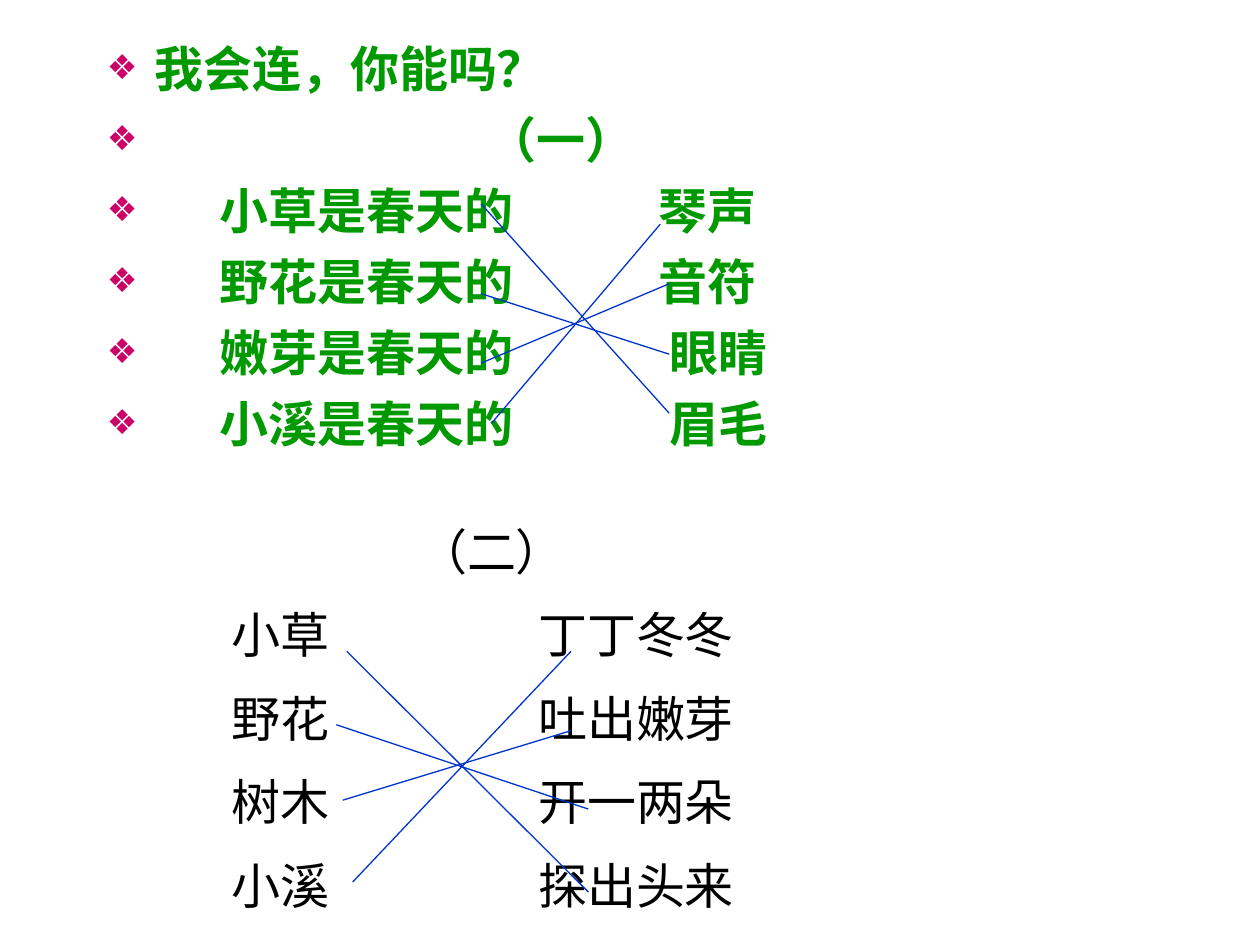
"""Build a matching exercise slide about the signs of spring."""
from lxml import etree
from pptx import Presentation
from pptx import util as u
from pptx.dml.color import RGBColor
from pptx.enum import shapes, text
from pptx.oxml.ns import qn

COLORS = {"phrase": "009900", "word": "000000", "bullet": "CC0066", "match": "0033CC"}

PHRASES = [
    (["我会连，你能吗？"], []),
    (["", "（一）"], [7.67]),
    (["", "小草是春天的", "琴声"], [2.28, 11.13]),
    (["", "野花是春天的", "音符"], [2.28, 11.13]),
    (["", "嫩芽是春天的", "眼睛"], [2.28, 11.35]),
    (["", "小溪是春天的", "眉毛"], [2.28, 11.35]),
]
WORDS = [
    (["", "（二）"], [5.08]),
    (["", "小草", "丁丁冬冬"], [1.32, 7.5]),
    (["", "野花", "吐出嫩芽"], [1.32, 7.5]),
    (["", "树木", "开一两朵"], [1.32, 7.5]),
    (["", "小溪", "探出头来"], [1.32, 7.5]),
]
PHRASE_MATCHES = [
    (9.7, 4.11, 13.49, 8.33),
    (9.91, 8.53, 13.31, 4.52),
    (9.7, 5.92, 13.49, 7.14),
    (9.7, 7.32, 13.49, 5.72),
]
WORD_MATCHES = [
    (6.99, 13.13, 11.86, 17.98),
    (6.78, 14.61, 11.86, 16.31),
    (6.91, 16.13, 11.51, 14.73),
    (7.11, 17.78, 11.51, 13.13),
]
PHRASE_FORMAT = {"name": "Arial", "size": u.Pt(28), "bold": True}
WORD_FORMAT = {"name": "Times New Roman", "size": u.Pt(28), "bold": False}
FRAME_FORMAT = {"word_wrap": True, "vertical_anchor": text.MSO_ANCHOR.TOP}
HANGING = u.Cm(0.96)


def apply(target, values):
    for attribute, value in values.items():
        setattr(target, attribute, value)


def add_bullet(properties):
    properties.set("marL", str(HANGING))
    properties.set("indent", str(-HANGING))
    color = etree.SubElement(properties, qn("a:buClr"))
    etree.SubElement(color, qn("a:srgbClr"), val=COLORS["bullet"])
    etree.SubElement(properties, qn("a:buSzPct"), val="70000")
    etree.SubElement(properties, qn("a:buChar"), char="❖")


def add_tabs(properties, stops):
    tabs = etree.SubElement(properties, qn("a:tabLst"))
    for stop in stops:
        etree.SubElement(tabs, qn("a:tab"), pos=str(u.Cm(stop)), algn="l")


def write_rows(frame, rows, style, color, gap, spacing, bulleted, fit):
    apply(frame, {**FRAME_FORMAT, "auto_size": fit})
    for index, (cells, stops) in enumerate(rows):
        row = frame.add_paragraph() if index else frame.paragraphs[0]
        properties = row._p.get_or_add_pPr()
        if bulleted:
            add_bullet(properties)
        if stops:
            add_tabs(properties, stops)
        apply(row, {"alignment": text.PP_ALIGN.LEFT, "line_spacing": spacing,
                    "space_before": u.Pt(gap if index else 0)})
        phrase = row.add_run()
        phrase.text = "\t".join(cells)
        apply(phrase.font, style)
        phrase.font.color.rgb = RGBColor.from_string(COLORS[color])


def add_matches(slide, matches):
    for ends in matches:
        match = slide.shapes.add_connector(
            shapes.MSO_CONNECTOR.STRAIGHT, *(u.Cm(end) for end in ends))
        match.line.width = u.Pt(0.75)
        match.line.color.rgb = RGBColor.from_string(COLORS["match"])
        etree.SubElement(match._element.spPr, qn("a:effectLst"))


def main():
    deck = Presentation()
    apply(deck, {"slide_width": u.Cm(25.4), "slide_height": u.Cm(19.05)})
    slide = deck.slides.add_slide(deck.slide_layouts[1])
    title, phrases = slide.placeholders
    title._element.getparent().remove(title._element)
    apply(phrases, {"left": u.Cm(1.9), "top": u.Cm(0.64),
                    "width": u.Cm(21.6), "height": u.Cm(8.9)})
    write_rows(phrases.text_frame, PHRASES, PHRASE_FORMAT, "phrase", 7, 1.0,
               True, text.MSO_AUTO_SIZE.NONE)
    add_matches(slide, PHRASE_MATCHES)
    words = slide.shapes.add_textbox(u.Cm(3.1), u.Cm(10.52), u.Cm(17.98), u.Cm(8.05))
    write_rows(words.text_frame, WORDS, WORD_FORMAT, "word", 17.5, 0.9,
               False, text.MSO_AUTO_SIZE.SHAPE_TO_FIT_TEXT)
    add_matches(slide, WORD_MATCHES)
    deck.save("out.pptx")


if __name__ == "__main__":
    main()
